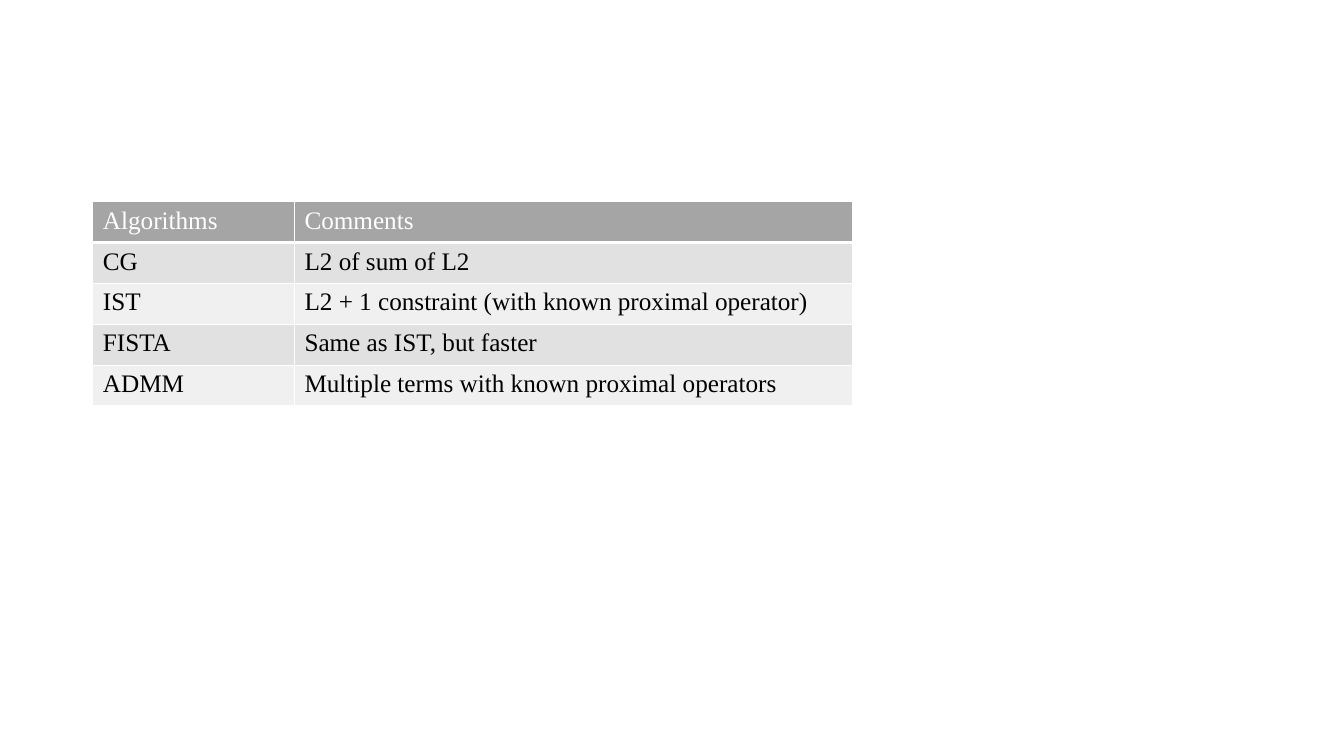
from typing import NamedTuple

from lxml import etree
from pptx import Presentation
from pptx.dml.color import RGBColor
from pptx.oxml.ns import qn
from pptx.table import _Cell
from pptx.util import Cm, Pt

WHITE = RGBColor(0xFF, 0xFF, 0xFF)
BLACK = RGBColor(0x00, 0x00, 0x00)
HEADER_GREY = RGBColor(0xA5, 0xA5, 0xA5)
BAND_GREYS = (RGBColor(0xE1, 0xE1, 0xE1), RGBColor(0xF0, 0xF0, 0xF0))

FONT_NAME = "Times New Roman"
FONT_SIZE = Pt(18)
COLUMN_WIDTHS = (Cm(5.08), Cm(14.07))
ROW_HEIGHT = Cm(1.03)


class CellStyle(NamedTuple):
    fill: RGBColor
    text: RGBColor
    bottom_border: int


class Entry(NamedTuple):
    algorithm: str
    comment: str


HEADER_STYLE = CellStyle(HEADER_GREY, WHITE, Pt(3))
BAND_STYLES = [CellStyle(grey, BLACK, Pt(1)) for grey in BAND_GREYS]

ENTRIES = [
    Entry("Algorithms", "Comments"),
    Entry("CG", "L2 of sum of L2"),
    Entry("IST", "L2 + 1 constraint (with known proximal operator)"),
    Entry("FISTA", "Same as IST, but faster"),
    Entry("ADMM", "Multiple terms with known proximal operators"),
]


def add_borders(cell: _Cell, bottom: int) -> None:
    properties = cell._tc.get_or_add_tcPr()
    widths = {"a:lnL": Pt(1), "a:lnR": Pt(1), "a:lnT": Pt(1), "a:lnB": bottom}
    for side, width in widths.items():
        border = etree.SubElement(properties, qn(side), w=str(int(width)))
        solid = etree.SubElement(border, qn("a:solidFill"))
        etree.SubElement(solid, qn("a:srgbClr"), val=str(WHITE))


def write_cell(cell: _Cell, text: str, style: CellStyle) -> None:
    add_borders(cell, style.bottom_border)
    cell.fill.solid()
    cell.fill.fore_color.rgb = style.fill
    run = cell.text_frame.paragraphs[0].add_run()
    run.text = text
    run.font.name = FONT_NAME
    run.font.size = FONT_SIZE
    run.font.bold = False
    run.font.color.rgb = style.text


presentation = Presentation()
presentation.slide_width = Cm(33.87)
presentation.slide_height = Cm(19.05)
slide = presentation.slides.add_slide(presentation.slide_layouts[6])

algorithms = slide.shapes.add_table(
    len(ENTRIES), len(COLUMN_WIDTHS), Cm(2.34), Cm(5.08),
    sum(COLUMN_WIDTHS), ROW_HEIGHT * len(ENTRIES),
).table
for column, width in zip(algorithms.columns, COLUMN_WIDTHS):
    column.width = width

for index, (row, entry) in enumerate(zip(algorithms.rows, ENTRIES)):
    row.height = ROW_HEIGHT
    style = BAND_STYLES[(index - 1) % 2] if index else HEADER_STYLE
    for cell, text in zip(row.cells, entry):
        write_cell(cell, text, style)

presentation.save("out.pptx")
